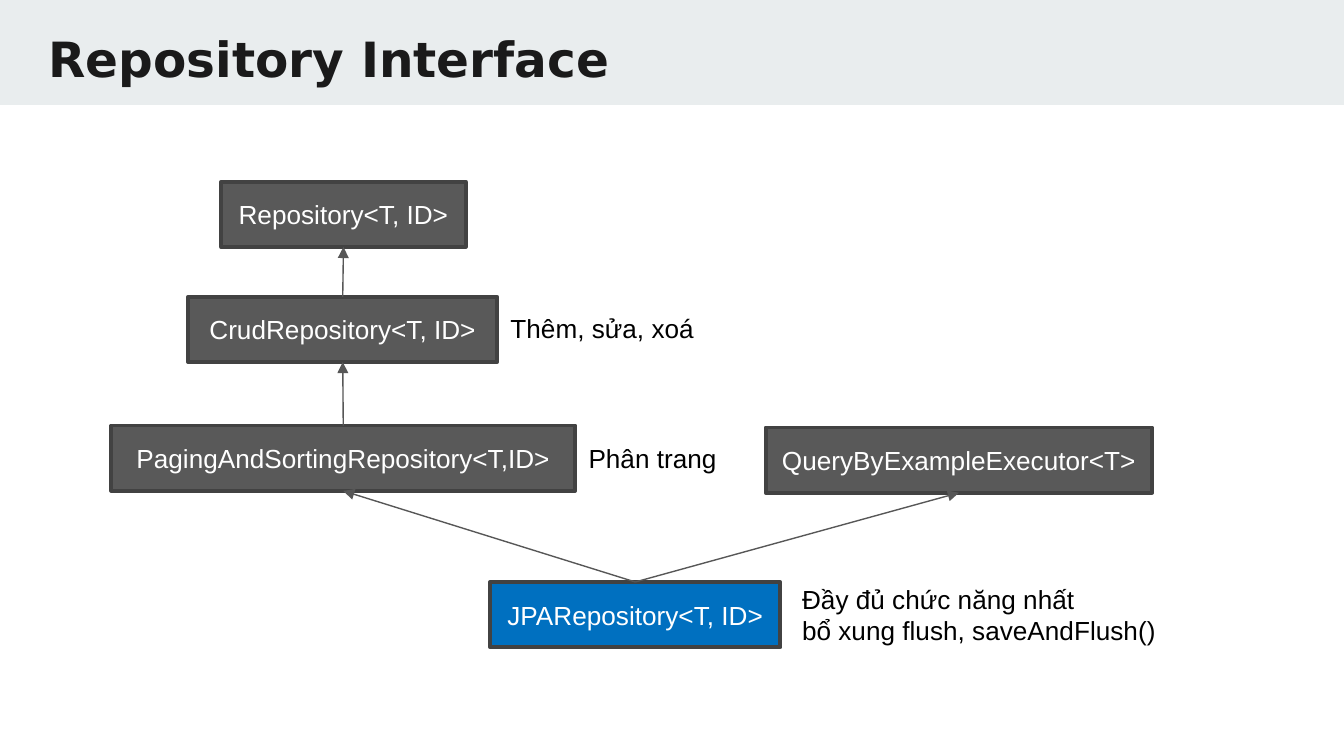
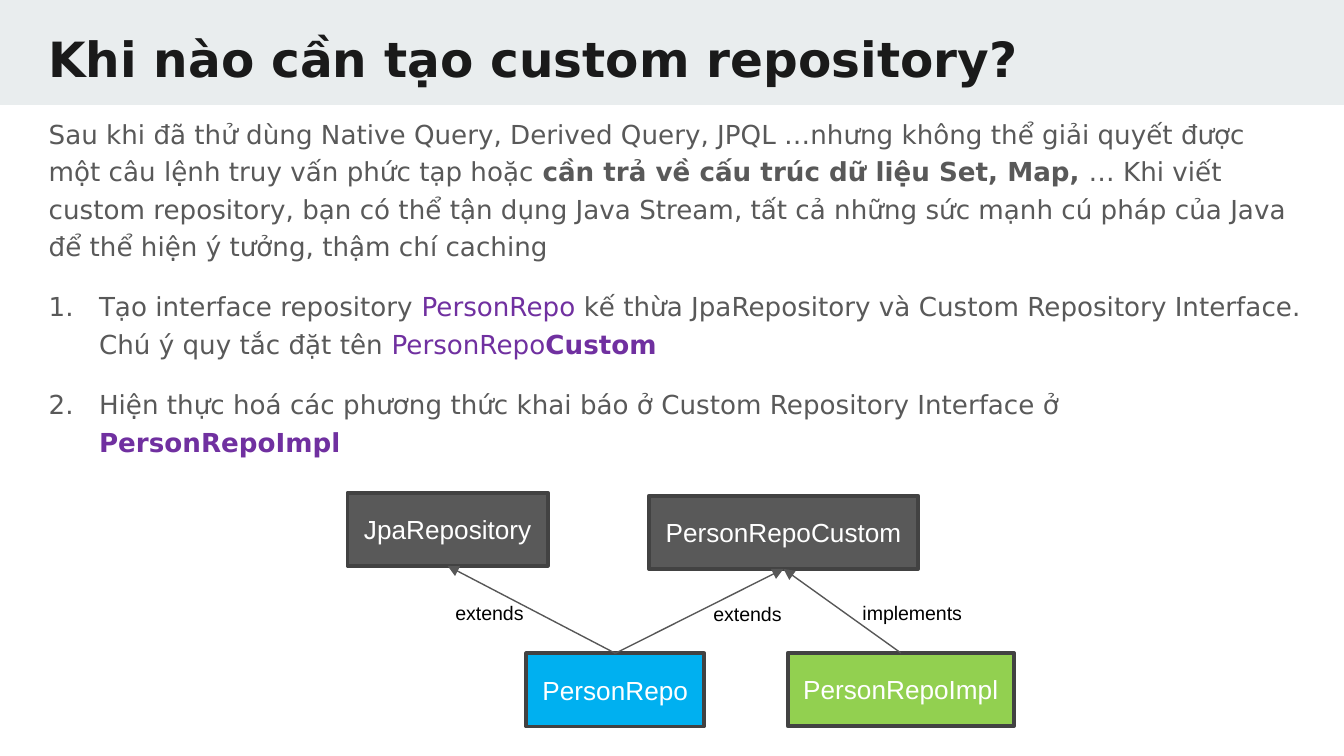
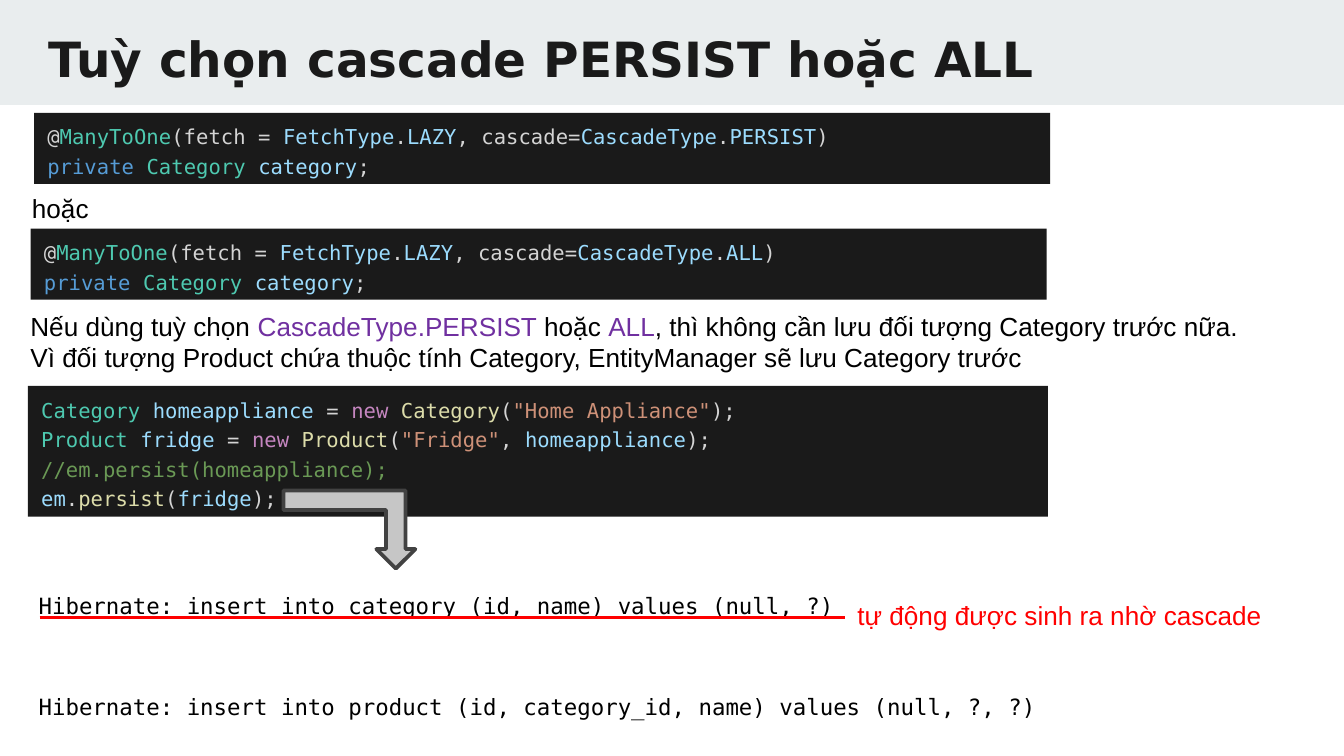
from dataclasses import dataclass
from typing import Any, NamedTuple

import pptx
import pptx.dml.color
import pptx.enum.shapes
import pptx.enum.text
import pptx.oxml.ns
import pptx.util
from lxml import etree

Pt = pptx.util.Pt
qn = pptx.oxml.ns.qn
PP_ALIGN = pptx.enum.text.PP_ALIGN
ANCHOR = pptx.enum.text.MSO_ANCHOR
AUTO_SIZE = pptx.enum.text.MSO_AUTO_SIZE
SHAPE = pptx.enum.shapes.MSO_SHAPE

# Shared fonts and colours
SANS, HEAD, MONO = "Arial", "DejaVu Sans", "DejaVu Sans Mono"
WHITE, BLACK, RED = "FFFFFF", "000000", "FF0000"
BAND, DARK, GRAY, EDGE, ARROW = "E9EDEE", "1A1A1A", "595959", "424242", "575757"
PURPLE, BLUE, SKY, GREEN = "7030A0", "0070C0", "00B0F0", "92D050"

# Syntax colours
PLAIN, TYPE, NAME, KEYWORD = "D4D4D4", "4EC9B0", "9CDCFE", "569CD6"
NEW, CALL, STRING, COMMENT = "C586C0", "DCDCAA", "CE9178", "6A9955"


class Run(NamedTuple):
    text: str
    color: str | None = None
    bold: bool = False


Paragraph = list[Run]


@dataclass
class Node:
    text: str
    left: float
    top: float
    width: float
    fill: str = GRAY


@dataclass
class Label:
    text: str | list[Paragraph]
    left: float
    top: float
    width: float
    height: float = 24.5
    size: float = 14
    color: str = BLACK


@dataclass
class CodeBlock:
    lines: list[Paragraph]
    left: float
    top: float
    width: float
    height: float


# Drawing helpers
def rgb(color: str) -> Any:
    return pptx.dml.color.RGBColor.from_string(color)


def write(tf: Any, text: str | list[Paragraph], *, size: float = 14, font: str = SANS,
          color: str = BLACK, bold: bool = False, align: Any = PP_ALIGN.LEFT,
          spacing: float | None = None, gap: float | None = None) -> None:
    paragraphs = [[Run(text)]] if isinstance(text, str) else text
    for i, runs in enumerate(paragraphs):
        p = tf.add_paragraph() if i else tf.paragraphs[0]
        p.alignment = align
        if spacing:
            p.line_spacing = spacing
        if gap is not None:
            p.space_before = p.space_after = Pt(gap)
        for run in runs:
            for j, part in enumerate(run.text.split("\n")):
                if j:
                    p.add_line_break()
                if not part:
                    continue
                r = p.add_run()
                r.text = part
                r.font.size, r.font.name = Pt(size), font
                r.font.bold = bold or run.bold
                r.font.color.rgb = rgb(run.color or color)


def set_margins(tf: Any, margin: float) -> None:
    tf.margin_left = tf.margin_right = tf.margin_top = tf.margin_bottom = Pt(margin)


def add_shape(s: Any, kind: Any, left: float, top: float, width: float, height: float,
              fill: str, edge: str | None = None) -> Any:
    sp = s.shapes.add_shape(kind, Pt(left), Pt(top), Pt(width), Pt(height))
    sp.shadow.inherit = False
    sp.fill.solid()
    sp.fill.fore_color.rgb = rgb(fill)
    if edge:
        sp.line.color.rgb = rgb(edge)
        sp.line.width = Pt(2)
    else:
        sp.line.fill.background()
    return sp


def add_textbox(s: Any, left: float, top: float, width: float, height: float,
                wrap: bool = True) -> Any:
    tf = s.shapes.add_textbox(Pt(left), Pt(top), Pt(width), Pt(height)).text_frame
    tf.word_wrap = wrap
    return tf


def add_node(s: Any, node: Node, height: float) -> Any:
    sp = add_shape(s, SHAPE.RECTANGLE, node.left, node.top, node.width, height, node.fill, EDGE)
    tf = sp.text_frame
    tf.word_wrap = True
    tf.vertical_anchor = ANCHOR.MIDDLE
    write(tf, node.text, color=WHITE, align=PP_ALIGN.CENTER)
    return sp


def add_label(s: Any, label: Label) -> None:
    tf = add_textbox(s, label.left, label.top, label.width, label.height, wrap=False)
    tf.auto_size = AUTO_SIZE.SHAPE_TO_FIT_TEXT
    write(tf, label.text, size=label.size, color=label.color)


def add_code(s: Any, block: CodeBlock) -> None:
    sp = add_shape(s, SHAPE.RECTANGLE, block.left, block.top, block.width, block.height, DARK)
    tf = sp.text_frame
    tf.word_wrap = True
    tf.vertical_anchor = ANCHOR.TOP
    write(tf, block.lines, size=11, font=MONO, color=PLAIN, spacing=1.2)


def add_line(s: Any, x1: float, y1: float, x2: float, y2: float, color: str,
             width: float) -> Any:
    c = s.shapes.add_connector(pptx.enum.shapes.MSO_CONNECTOR.STRAIGHT,
                               Pt(x1), Pt(y1), Pt(x2), Pt(y2))
    c.line.color.rgb = rgb(color)
    c.line.width = Pt(width)
    etree.SubElement(c._element.spPr, qn("a:effectLst"))
    return c


def add_arrow(s: Any, child: Any, parent: Any) -> None:
    """Join the top of the child to the bottom of the parent."""
    c = add_line(s, 0, 0, 0, 0, ARROW, 0.75)
    c.begin_connect(child, 0)
    c.end_connect(parent, 2)
    ln = c._element.spPr.find(qn("a:ln"))
    etree.SubElement(ln, qn("a:tailEnd"), type="triangle")


def add_diagram(s: Any, nodes: dict[str, Node], height: float,
                arrows: list[tuple[str, str]], labels: list[Label]) -> None:
    shapes = {key: add_node(s, node, height) for key, node in nodes.items()}
    for child, parent in arrows:
        add_arrow(s, shapes[child], shapes[parent])
    for label in labels:
        add_label(s, label)


def number_paragraph(p: Any) -> None:
    pPr = p._p.get_or_add_pPr()
    pPr.set("marL", str(Pt(36)))
    pPr.set("indent", str(-Pt(27)))
    color = etree.SubElement(pPr, qn("a:buClr"))
    etree.SubElement(color, qn("a:srgbClr"), val=GRAY)
    etree.SubElement(pPr, qn("a:buAutoNum"), type="arabicPeriod")


def add_slide(prs: Any, title: str) -> Any:
    s = prs.slides.add_slide(prs.slide_layouts[5])
    sp = s.shapes.title
    sp.left, sp.top, sp.width, sp.height = Pt(18.7), Pt(8.6), Pt(685.4), Pt(42.5)
    tf = sp.text_frame
    tf.auto_size = AUTO_SIZE.NONE
    tf.vertical_anchor = ANCHOR.TOP
    set_margins(tf, 7.2)
    write(tf, title, size=26, font=HEAD, color=DARK, bold=True)
    return s


def add_layout_band(s: Any) -> None:
    """Place the title band on the layout that all slides share."""
    band = add_shape(s, SHAPE.RECTANGLE, 0, 0, 720, 56.2, BAND)
    s.slide_layout.shapes._spTree.insert(2, band._element)


# Slide 1: interface hierarchy
def build_interfaces(prs: Any) -> None:
    s = add_slide(prs, "Repository Interface")
    add_layout_band(s)
    nodes = {
        "jpa": Node("JPARepository<T, ID>", 262.6, 311.8, 155.5, BLUE),
        "paging": Node("PagingAndSortingRepository<T,ID>", 59.6, 228, 248.6),
        "query": Node("QueryByExampleExecutor<T>", 410.2, 229, 207),
        "crud": Node("CrudRepository<T, ID>", 100.8, 159, 165.6),
        "base": Node("Repository<T, ID>", 118.5, 97.3, 131),
    }
    arrows = [("jpa", "paging"), ("jpa", "query"), ("paging", "crud"), ("crud", "base")]
    labels = [
        Label("Đầy đủ chức năng nhất\nbổ xung flush, saveAndFlush()", 422.6, 308.9, 205.2, 41),
        Label("Phân trang", 308.2, 233.3, 83.5),
        Label("Thêm, sửa, xoá", 266.4, 164, 113),
    ]
    add_diagram(s, nodes, 35, arrows, labels)


# Slide 2: custom repository
def build_custom(prs: Any) -> None:
    s = add_slide(prs, "Khi nào cần tạo custom repository?")
    tf = add_textbox(s, 10, 52.6, 695, 171.4)
    set_margins(tf, 7.2)
    write(tf, [
        [Run("Sau khi đã thử dùng Native Query, Derived Query, JPQL …nhưng không thể giải quyết "
             "được một câu lệnh truy vấn phức tạp hoặc "),
         Run("cần trả về cấu trúc dữ liệu Set, Map,", bold=True),
         Run(" … Khi viết custom repository, bạn có thể tận dụng Java Stream, tất cả những sức "
             "mạnh cú pháp của Java để thể hiện ý tưởng, thậm chí caching")],
        [Run("Tạo interface repository"), Run(" PersonRepo", PURPLE),
         Run(" kế thừa JpaRepository và Custom Repository Interface. Chú ý quy tắc đặt tên "),
         Run("PersonRepo", PURPLE), Run("Custom", PURPLE, True)],
        [Run("Hiện thực hoá các phương thức khai báo ở Custom Repository Interface ở "),
         Run("PersonRepoImpl", PURPLE, True)],
    ], font=HEAD, color=GRAY, spacing=1.2, gap=6)
    intro, *steps = tf.paragraphs
    intro._p.get_or_add_pPr().set("marL", str(Pt(9)))
    for p in steps:
        number_paragraph(p)

    nodes = {
        "repo": Node("PersonRepo", 282, 350, 95.3, SKY),
        "jpa": Node("JpaRepository", 186.2, 264, 107.3),
        "custom": Node("PersonRepoCustom", 347.6, 265.6, 144.3),
        "impl": Node("PersonRepoImpl", 422, 349.8, 121.2, GREEN),
    }
    arrows = [("repo", "jpa"), ("repo", "custom"), ("impl", "custom")]
    labels = [
        Label("extends", 236.9, 318.2, 53.3, 20.6, 10.5),
        Label("extends", 375.1, 319, 53.3, 20.6, 10.5),
        Label("implements", 455, 318.2, 69.1, 20.6, 10.5),
    ]
    add_diagram(s, nodes, 39.2, arrows, labels)


# Slide 3: cascade options
def mapping_lines(cascade: str) -> list[Paragraph]:
    return [
        [Run("@"), Run("ManyToOne", TYPE), Run("(fetch = "), Run("FetchType", NAME), Run("."),
         Run("LAZY", NAME), Run(", cascade="), Run("CascadeType", NAME), Run("."),
         Run(cascade, NAME), Run(")")],
        [Run("private ", KEYWORD), Run("Category ", TYPE), Run("category", NAME), Run(";")],
    ]


def creation_line(kind: str, variable: str, text: str, *rest: Run) -> Paragraph:
    return [Run(f"{kind} ", TYPE), Run(variable, NAME), Run(" = "), Run("new ", NEW),
            Run(kind, CALL), Run("("), Run(f'"{text}"', STRING), *rest, Run(");")]


def build_cascade(prs: Any) -> None:
    s = add_slide(prs, "Tuỳ chọn cascade PERSIST hoặc ALL")
    persist_lines = [
        creation_line("Category", "homeappliance", "Home Appliance"),
        creation_line("Product", "fridge", "Fridge", Run(", "), Run("homeappliance", NAME)),
        [Run("//em.persist(homeappliance);", COMMENT)],
        [Run("em", NAME), Run("."), Run("persist", CALL), Run("("), Run("fridge", NAME),
         Run(");")],
    ]
    for block in (
        CodeBlock(mapping_lines("PERSIST"), 18.3, 60.5, 544.3, 38),
        CodeBlock(mapping_lines("ALL"), 16.5, 122.5, 544.3, 38),
        CodeBlock(persist_lines, 15, 206.8, 546.4, 70),
    ):
        add_code(s, block)

    # Generated SQL
    tf = add_textbox(s, 13.6, 306.7, 599, 70.6)
    write(tf, [
        [Run("Hibernate: insert into category (id, name) values (null, ?)")],
        [Run("\nHibernate: insert into product (id, category_id, name) values (null, ?, ?)")],
    ], size=12, font=MONO, spacing=1.5)

    # Explanations, arrow and underline
    explanation = [[
        Run("Nếu dùng tuỳ chọn "), Run("CascadeType.PERSIST ", PURPLE), Run("hoặc "),
        Run("ALL", PURPLE),
        Run(", thì không cần lưu đối tượng Category trước nữa.\n"
            "Vì đối tượng Product chứa thuộc tính Category, EntityManager sẽ lưu Category trước"),
    ]]
    for label in (
        Label("hoặc", 10, 99.4, 45.4),
        Label(explanation, 9.2, 162.7, 665.3, 41),
        Label("tự động được sinh ra nhờ cascade", 452.2, 317.8, 231.8, color=RED),
    ):
        add_label(s, label)
    arrow = add_shape(s, SHAPE.BENT_UP_ARROW, 151.9, 262.8, 70.6, 41.8, "C6C6C6", EDGE)
    arrow._element.spPr.find(qn("a:xfrm")).set("flipV", "1")
    add_line(s, 21.2, 330.7, 452.5, 330.7, RED, 1.5)


def main() -> None:
    prs = pptx.Presentation()
    prs.slide_width, prs.slide_height = Pt(720), Pt(405)
    build_interfaces(prs)
    build_custom(prs)
    build_cascade(prs)
    prs.save("out.pptx")


if __name__ == "__main__":
    main()
